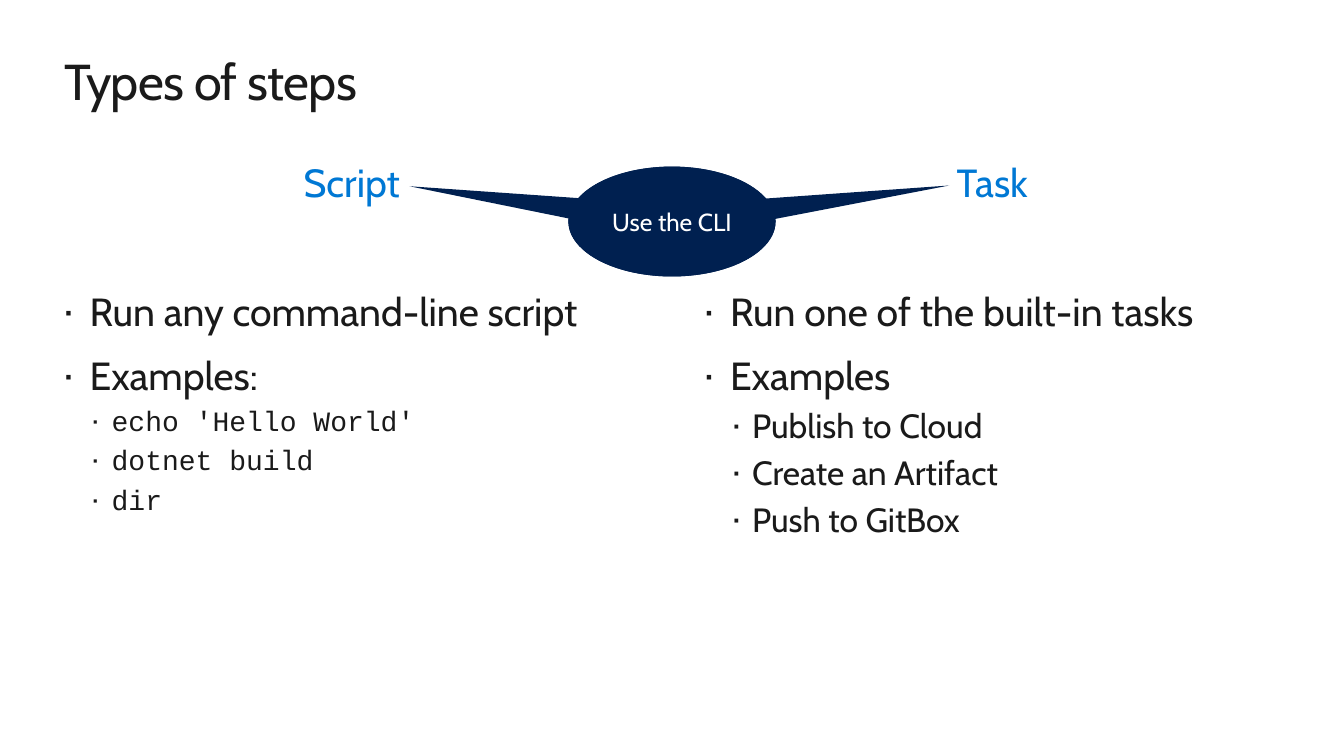
from lxml import etree
from pptx import Presentation
from pptx.dml.color import RGBColor
from pptx.enum import shapes, text
from pptx.oxml.ns import qn
from pptx.util import Pt

SANS, MONO = "Cabin", "Courier New"
INK, BLUE, NAVY, WHITE = "1A1A1A", "0078D4", "002050", "FFFFFF"


def set_font(p, size, color, name=SANS):
    for r in p.runs:
        r.font.size = Pt(size)
        r.font.name = name
        r.font.color.rgb = RGBColor.from_string(color)


def add_bullet(p, margin, hanging):
    pPr = p._p.get_or_add_pPr()
    pPr.set("marL", str(Pt(margin)))
    pPr.set("indent", str(-Pt(hanging)))
    color = etree.SubElement(pPr, qn("a:buClr"))
    etree.SubElement(color, qn("a:srgbClr"), val=INK)
    etree.SubElement(pPr, qn("a:buSzPct"), val="90000")
    etree.SubElement(pPr, qn("a:buFont"), typeface=SANS)
    etree.SubElement(pPr, qn("a:buChar"), char="·")


def add_text_box(slide, left, top, width, height):
    """Add a wrapping text box without insets and return its text frame."""
    tf = slide.shapes.add_textbox(Pt(left), Pt(top), Pt(width), Pt(height)).text_frame
    tf.word_wrap = True
    tf.margin_left = tf.margin_top = tf.margin_right = tf.margin_bottom = 0
    return tf


def add_title(slide, left, top, width, height, title):
    p = add_text_box(slide, left, top, width, height).paragraphs[0]
    p.text = title
    set_font(p, 36, INK)
    p.runs[0]._r.get_or_add_rPr().set("spc", "-50")


def add_column(slide, left, top, width, height, heading, points, examples,
               example_size, example_font):
    tf = add_text_box(slide, left, top, width, height)
    p = tf.paragraphs[0]
    p.text = heading
    p.alignment = text.PP_ALIGN.CENTER
    set_font(p, 28, BLUE)

    for point, gap in zip(points, (58.4, 12.2)):
        p = tf.add_paragraph()
        p.text = point
        p.space_before = Pt(gap)
        add_bullet(p, 18, 18)
        set_font(p, 28, INK)

    for example in examples:
        p = tf.add_paragraph()
        p.text = example
        p.level = 1
        p.space_before = Pt(example_size * 0.2)
        add_bullet(p, 33.75, 13.75)
        set_font(p, example_size, INK, example_font)


def add_double_callout(slide, left, top, width, height, label):
    """Stack two ellipse callouts so that one ellipse points both ways."""
    for tail in ((1.338, -0.328), (-1.267, -0.321)):
        sp = slide.shapes.add_shape(shapes.MSO_SHAPE.OVAL_CALLOUT,
                                    Pt(left), Pt(top), Pt(width), Pt(height))
        sp.adjustments[0], sp.adjustments[1] = tail
        sp.shadow.inherit = False
        sp.fill.solid()
        sp.fill.fore_color.rgb = RGBColor.from_string(NAVY)
        sp.line.fill.background()
    tf = sp.text_frame
    tf.text = label
    tf.vertical_anchor = text.MSO_ANCHOR.MIDDLE
    tf.paragraphs[0].alignment = text.PP_ALIGN.CENTER
    set_font(tf.paragraphs[0], 17.6, WHITE)


def main():
    prs = Presentation()
    prs.slide_width, prs.slide_height = Pt(960), Pt(540)
    slide = prs.slides.add_slide(prs.slide_layouts[6])

    add_double_callout(slide, 406, 119, 148, 78.5, "Use the CLI")
    add_title(slide, 46, 36, 868, 44, "Types of steps")
    add_column(slide, 46, 113, 410.5, 324, "Script",
               ["Run any command-line script", "Examples:"],
               ["echo 'Hello World'", "dotnet build", "dir"], 20, MONO)
    add_column(slide, 503.5, 113, 410.5, 324, "Task",
               ["Run one of the built-in tasks", "Examples"],
               ["Publish to Cloud", "Create an Artifact", "Push to GitBox"], 24, SANS)

    prs.save("out.pptx")


if __name__ == "__main__":
    main()
